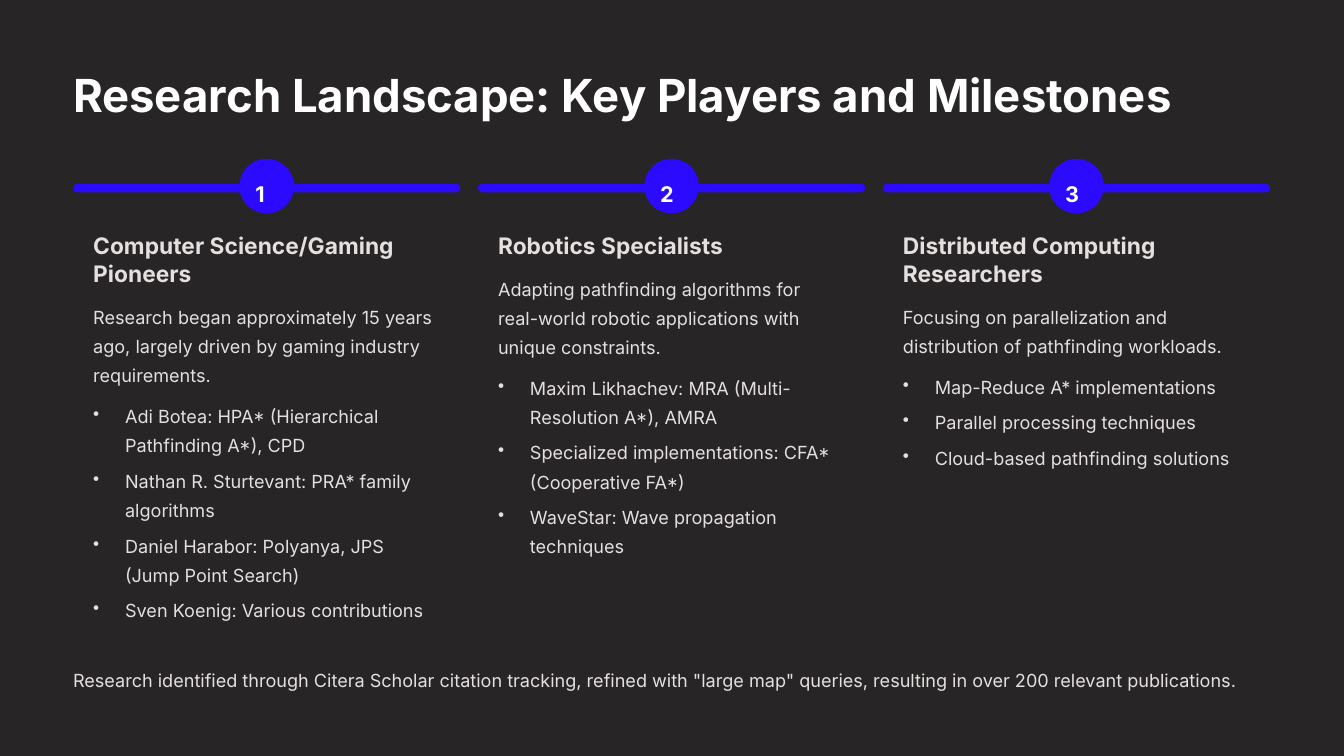
"""Build the research landscape slide with three numbered columns."""
import pptx
import pptx.dml.color
import pptx.enum.shapes
import pptx.util
from lxml import etree
from pptx.oxml.ns import qn

Inches = pptx.util.Inches
Pt = pptx.util.Pt
RGBColor = pptx.dml.color.RGBColor

BACKGROUND = RGBColor(0x27, 0x25, 0x25)
ACCENT = RGBColor(0x2B, 0x0A, 0xFF)
WHITE = RGBColor(0xFF, 0xFF, 0xFF)
BODY = RGBColor(0xE5, 0xE0, 0xDF)

MARGIN = 0.87
COLUMN_PITCH = 4.82
COLUMN_WIDTH = 4.61
TEXT_INSET = 0.24
TEXT_WIDTH = 4.13
HEADING_TOP = 2.75
HEADING_LINE = 0.34
BODY_LINE = 0.35
BLOCK_GAP = 0.13

COLUMNS = [
    ("Computer Science/Gaming Pioneers", 2,
     "Research began approximately 15 years ago, largely driven by gaming industry requirements.", 3,
     ["Adi Botea: HPA* (Hierarchical Pathfinding A*), CPD",
      "Nathan R. Sturtevant: PRA* family algorithms",
      "Daniel Harabor: Polyanya, JPS (Jump Point Search)",
      "Sven Koenig: Various contributions"], 2.67),
    ("Robotics Specialists", 1,
     "Adapting pathfinding algorithms for real-world robotic applications with unique constraints.", 3,
     ["Maxim Likhachev: MRA (Multi-Resolution A*), AMRA",
      "Specialized implementations: CFA* (Cooperative FA*)",
      "WaveStar: Wave propagation techniques"], 2.23),
    ("Distributed Computing Researchers", 2,
     "Focusing on parallelization and distribution of pathfinding workloads.", 2,
     ["Map-Reduce A* implementations",
      "Parallel processing techniques",
      "Cloud-based pathfinding solutions"], 1.19),
]


class LandscapeSlide:
    """Hold the slide and its style, and draw each kind of element."""

    def __init__(self, slide):
        self.slide = slide
        self.font_name = "Inter"
        fill = slide.background.fill
        fill.solid()
        fill.fore_color.rgb = BACKGROUND

    def pill(self, left, top, width, height):
        """Draw an accent shape with fully rounded ends."""
        pill = self.slide.shapes.add_shape(
            pptx.enum.shapes.MSO_SHAPE.ROUNDED_RECTANGLE,
            Inches(left), Inches(top), Inches(width), Inches(height))
        pill.adjustments[0] = 0.5
        pill.shadow.inherit = False
        pill.fill.solid()
        pill.fill.fore_color.rgb = ACCENT
        pill.line.fill.background()

    def text(self, lines, left, top, width, height, size=15.5, leading=25,
             color=BODY, bold=False, bullets=False):
        """Write one paragraph per line, optionally as a bulleted list."""
        box = self.slide.shapes.add_textbox(
            Inches(left), Inches(top), Inches(width), Inches(height))
        frame = box.text_frame
        frame.word_wrap = True
        frame.margin_left = frame.margin_right = 0
        frame.margin_top = frame.margin_bottom = 0
        for index, line in enumerate(lines):
            paragraph = frame.add_paragraph() if index else frame.paragraphs[0]
            paragraph.text = line
            paragraph.line_spacing = Pt(leading)
            if index:
                paragraph.space_before = Pt(5.5)
            if bullets:
                self.bullet(paragraph)
            font = paragraph.font
            font.name = self.font_name
            font.size = Pt(size)
            font.bold = bold
            font.color.rgb = color

    def bullet(self, paragraph):
        """Give a paragraph a hanging bullet."""
        properties = paragraph._p.get_or_add_pPr()
        properties.set("marL", str(Inches(0.38)))
        properties.set("indent", str(Inches(-0.38)))
        etree.SubElement(properties, qn("a:buChar"), char="•")

    def column(self, number, left, heading, heading_lines, summary,
               summary_lines, items, items_height):
        """Draw a numbered marker with its heading, summary and list."""
        self.pill(left, 2.19, COLUMN_WIDTH, 0.1)
        self.pill(left + 1.98, 1.89, 0.65, 0.65)
        self.text([str(number)], left + 2.17, 2.05, 0.26, 0.33,
                  size=18.5, leading=30, color=WHITE, bold=True)
        text_left = left + TEXT_INSET
        heading_height = heading_lines * HEADING_LINE
        self.text([heading], text_left, HEADING_TOP, TEXT_WIDTH,
                  heading_height, size=19.5, leading=24, bold=True)
        summary_top = HEADING_TOP + heading_height + BLOCK_GAP
        summary_height = summary_lines * BODY_LINE
        self.text([summary], text_left, summary_top, TEXT_WIDTH, summary_height)
        self.text(items, text_left, summary_top + summary_height + BLOCK_GAP,
                  TEXT_WIDTH, items_height, bullets=True)


def main():
    """Build and save the presentation."""
    presentation = pptx.Presentation()
    presentation.slide_width = Inches(16)
    presentation.slide_height = Inches(9)
    landscape = LandscapeSlide(
        presentation.slides.add_slide(presentation.slide_layouts[6]))
    landscape.text(["Research Landscape: Key Players and Milestones"],
                   MARGIN, 0.77, 13.11, 0.68,
                   size=39, leading=48.5, color=WHITE, bold=True)
    for index, content in enumerate(COLUMNS):
        landscape.column(index + 1, MARGIN + index * COLUMN_PITCH, *content)
    landscape.text(
        ['Research identified through Citera Scholar citation tracking, refined with '
         '"large map" queries, resulting in over 200 relevant publications.'],
        MARGIN, 7.88, 14.26, 0.35)
    presentation.save("out.pptx")


if __name__ == "__main__":
    main()
